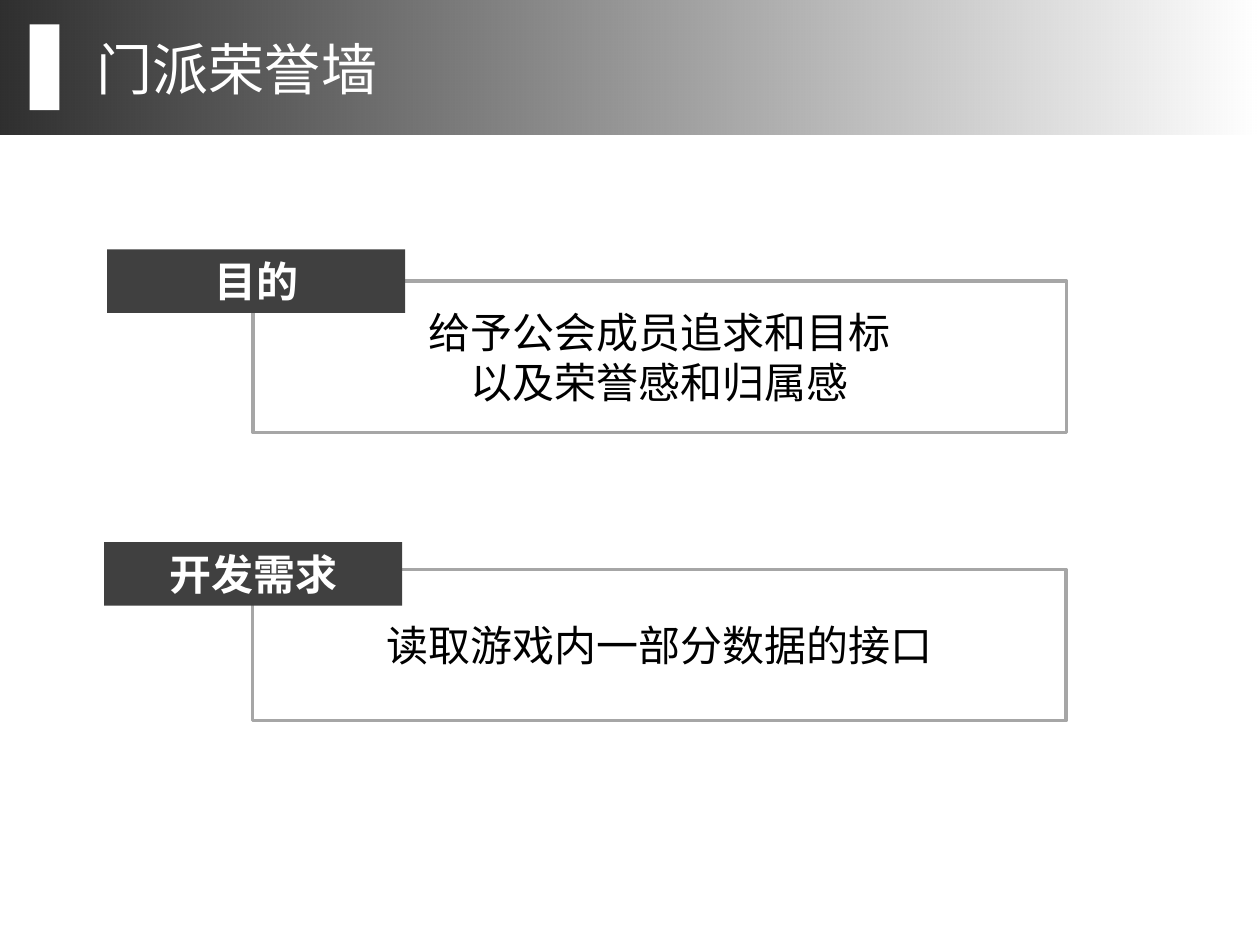
from lxml import etree
from pptx import Presentation
from pptx.dml.color import RGBColor
from pptx.enum.shapes import MSO_SHAPE
from pptx.enum.text import MSO_ANCHOR, MSO_AUTO_SIZE, PP_ALIGN
from pptx.oxml.ns import qn
from pptx.util import Cm, Pt

RECTANGLE = MSO_SHAPE.RECTANGLE
LEFT, CENTER = PP_ALIGN.LEFT, PP_ALIGN.CENTER
TOP, MIDDLE = MSO_ANCHOR.TOP, MSO_ANCHOR.MIDDLE
GROW, FIXED = MSO_AUTO_SIZE.SHAPE_TO_FIT_TEXT, MSO_AUTO_SIZE.NONE

FONT = "Noto Sans CJK SC"
COLORS = {"black": "000000", "white": "FFFFFF", "tag": "404040", "border": "A6A6A6"}


def color(name):
    return RGBColor.from_string(COLORS[name])


def write(box, text, size=24, ink="black", bold=False, align=CENTER, anchor=MIDDLE, fit=FIXED):
    frame = box.text_frame
    frame.text = text
    frame.word_wrap = True
    frame.vertical_anchor = anchor
    frame.auto_size = fit
    for para in frame.paragraphs:
        para.alignment = align
        for span in para.runs:
            span.font.name = FONT
            span.font.size = Pt(size)
            span.font.bold = bold
            span.font.color.rgb = color(ink)
            east_asian = etree.SubElement(span.font._element, qn("a:ea"))
            east_asian.set("typeface", FONT)


deck = Presentation()
deck.slide_width, deck.slide_height = Cm(25.4), Cm(19.05)
page = deck.slides.add_slide(deck.slide_layouts[5])
shapes = page.shapes

# Header band: black fading out to the right
band = shapes.add_shape(RECTANGLE, 0, 0, deck.slide_width, Cm(2.72))
band.shadow.inherit = False
band.line.fill.background()
band.fill.gradient()
band.fill.gradient_angle = 0
for stop, opacity in zip(band.fill.gradient_stops, (82, 0)):
    stop.color.rgb = color("black")
for tint, opacity in zip(band._element.spPr.iter(qn("a:srgbClr")), (82, 0)):
    etree.SubElement(tint, qn("a:alpha")).set("val", str(opacity * 1000))

# White marker beside the title
marker = shapes.add_shape(RECTANGLE, Cm(0.6), Cm(0.49), Cm(0.6), Cm(1.73))
marker.shadow.inherit = False
marker.line.fill.background()
marker.fill.solid()
marker.fill.fore_color.rgb = color("white")

# Title, raised above the band
title = shapes.title
title.left, title.top, title.width, title.height = Cm(1.7), Cm(0.56), Cm(18.4), Cm(1.63)
write(title, "门派荣誉墙", size=32, ink="white", align=LEFT, anchor=TOP, fit=GROW)
shapes._spTree.append(title._element)

# Sections: an outlined panel with a dark tag over its corner
sections = [
    ("目的", 2.16, 5.03, "给予公会成员追求和目标\n以及荣誉感和归属感", 5.1, 5.67),
    ("开发需求", 2.1, 10.93, "读取游戏内一部分数据的接口", 5.09, 11.48),
]
for heading, tag_left, tag_top, content, panel_left, panel_top in sections:
    panel = shapes.add_shape(RECTANGLE, Cm(panel_left), Cm(panel_top), Cm(16.4), Cm(3.05))
    panel.shadow.inherit = False
    panel.fill.background()
    panel.line.color.rgb = color("border")
    panel.line.width = Pt(2)
    write(panel, content)

    tag = shapes.add_shape(RECTANGLE, Cm(tag_left), Cm(tag_top), Cm(6.01), Cm(1.28))
    tag.shadow.inherit = False
    tag.line.fill.background()
    tag.fill.solid()
    tag.fill.fore_color.rgb = color("tag")
    write(tag, heading, ink="white", bold=True, anchor=TOP, fit=GROW)

deck.save("out.pptx")
